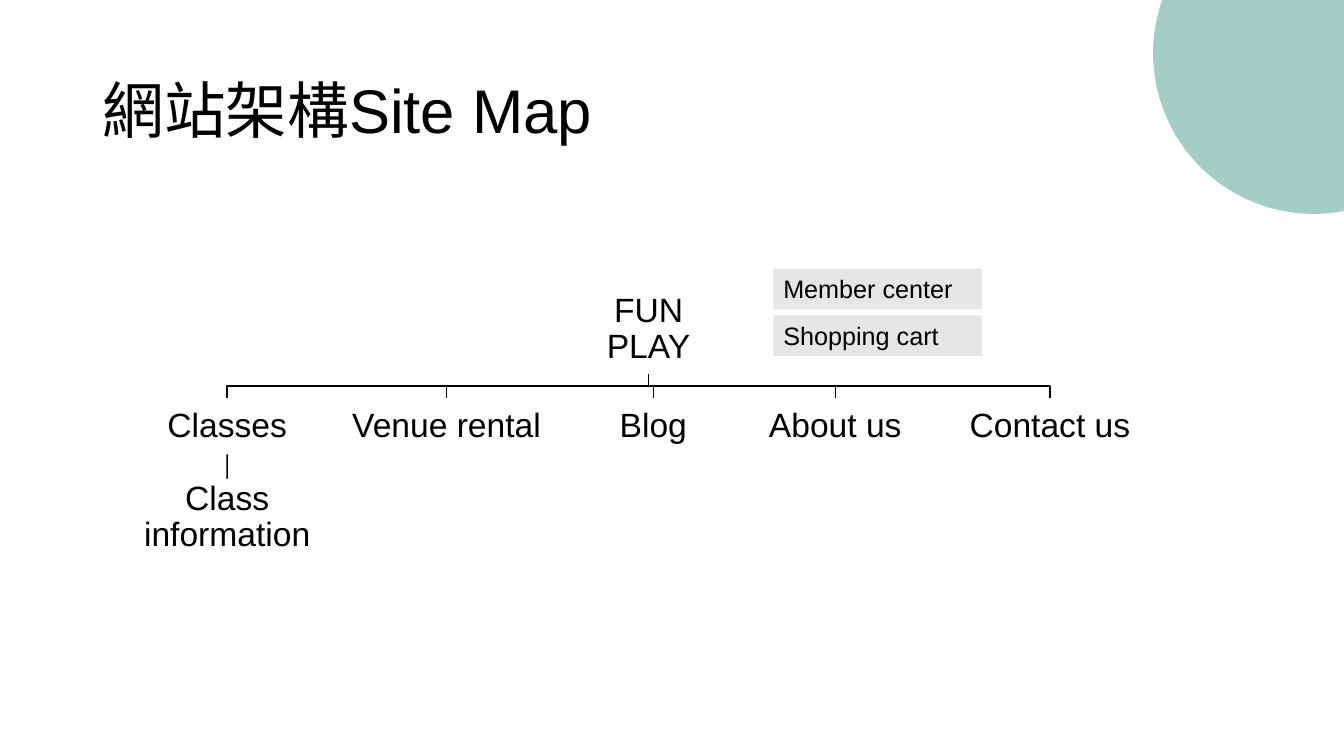
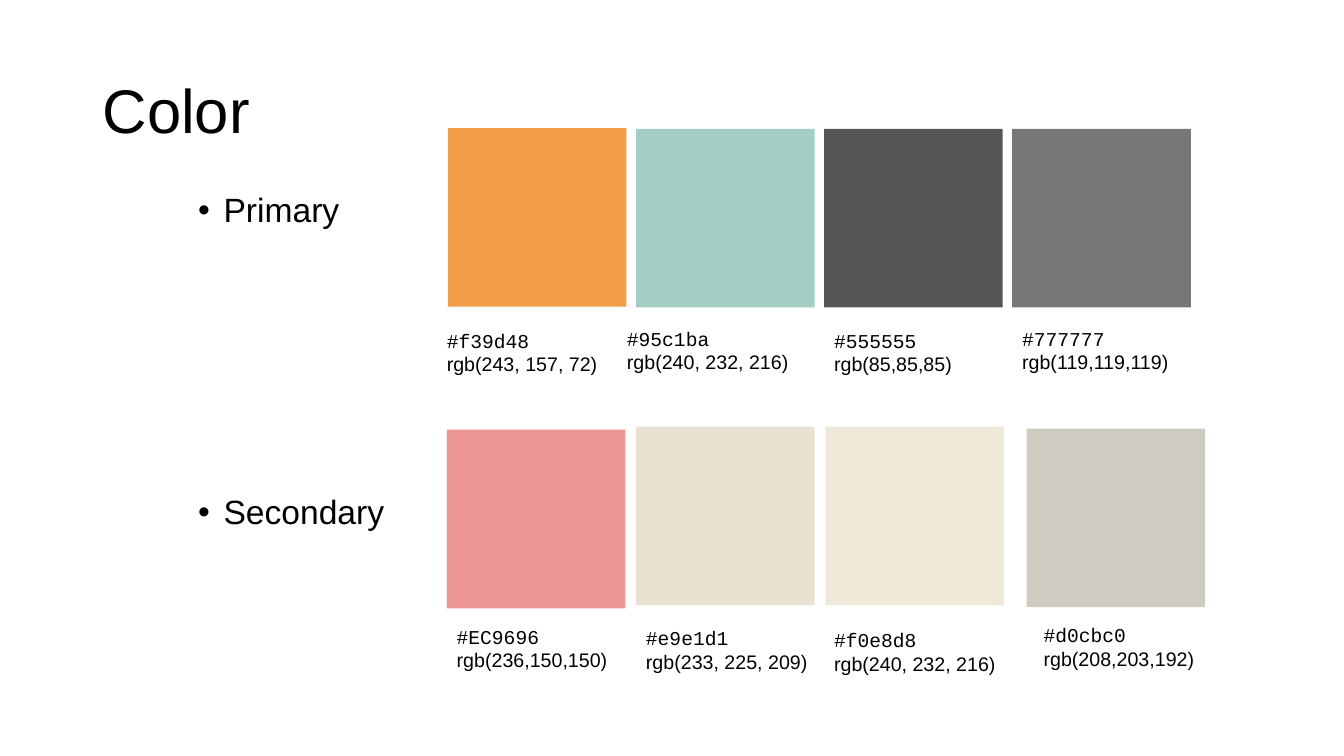
from dataclasses import dataclass

from lxml.etree import SubElement
from pptx import Presentation
from pptx.dml.color import RGBColor
from pptx.enum.shapes import MSO_CONNECTOR, MSO_SHAPE
from pptx.enum.text import MSO_ANCHOR, MSO_AUTO_SIZE, PP_ALIGN
from pptx.oxml.ns import qn
from pptx.util import Cm, Pt


@dataclass(frozen=True)
class Theme:
    text: str = "000000"
    paper: str = "FFFFFF"
    tag: str = "E7E6E6"
    accent: str = "A4CEC5"
    font: str = "Arial"
    code_font: str = "Courier New"
    title_size: int = 44
    body_size: int = 24
    tag_size: int = 18
    caption_size: int = 14
    line_spacing: float = 0.9


THEME = Theme()
TITLE_ONLY, TITLE_AND_CONTENT = 5, 1

# Site map content: (label, box width in cm)
SITE_TITLE = "網站架構Site Map"
SITE_ROOT = "FUN PLAY"
SITE_PAGES = [
    ("Classes", 4.17),
    ("Venue rental", 5.49),
    ("Blog", 3.53),
    ("About us", 4.24),
    ("Contact us", 5.18),
]
SITE_SUBPAGE = "Class information"
SITE_TAGS = ["Member center", "Shopping cart"]

# Palette content: fill, hex label, rgb label, swatch nudge, caption nudge (cm)
PALETTE_TITLE = "Color"
PALETTE = {
    "Primary": [
        ("F39D48", "#f39d48", "rgb(243, 157, 72)", (0, -0.02), (-0.28, 0.05)),
        (THEME.accent, "#95c1ba", "rgb(240, 232, 216)", (0, 0), (-0.48, 0)),
        ("555555", "#555555", "rgb(85,85,85)", (0, 0), (0, 0.05)),
        ("777777", "#777777", "rgb(119,119,119)", (0, 0), (0, 0)),
    ],
    "Secondary": [
        ("EC9696", "#EC9696", "rgb(236,150,150)", (-0.03, 0.08), (-0.03, 0)),
        ("E9E1D1", "#e9e1d1", "rgb(233, 225, 209)", (0, 0), (0, 0.04)),
        ("F0E8D8", "#f0e8d8", "rgb(240, 232, 216)", (0.03, 0), (0, 0.1)),
        ("D0CBC0", "#d0cbc0", "rgb(208,203,192)", (0.36, 0.05), (0.54, -0.03)),
    ],
}


def place(shape, left, top, width, height):
    shape.left, shape.top = Cm(left), Cm(top)
    shape.width, shape.height = Cm(width), Cm(height)


def style_font(paragraph, size, name=THEME.font):
    paragraph.font.size = Pt(size)
    paragraph.font.name = name
    paragraph.font.color.rgb = RGBColor.from_string(THEME.text)


def style_line(line):
    line.color.rgb = RGBColor.from_string(THEME.text)
    line.width = Pt(1)


def add_titled_slide(presentation, layout, title):
    slide = presentation.slides.add_slide(presentation.slide_layouts[layout])
    shape = slide.shapes.title
    place(shape, 2.33, 1.02, 29.21, 3.68)
    frame = shape.text_frame
    frame.text = title
    frame.auto_size = MSO_AUTO_SIZE.NONE
    frame.vertical_anchor = MSO_ANCHOR.MIDDLE
    paragraph = frame.paragraphs[0]
    paragraph.alignment = PP_ALIGN.LEFT
    paragraph.line_spacing = THEME.line_spacing
    style_font(paragraph, THEME.title_size)
    return slide


def add_filled(slide, kind, fill, left, top, width, height):
    shape = slide.shapes.add_shape(kind, Cm(left), Cm(top), Cm(width), Cm(height))
    shape.shadow.inherit = False
    shape.fill.solid()
    shape.fill.fore_color.rgb = RGBColor.from_string(fill)
    shape.line.fill.background()
    return shape


def add_node(slide, label, left, top, width, height):
    node = add_filled(slide, MSO_SHAPE.ROUNDED_RECTANGLE, THEME.paper, left, top, width, height)
    node.adjustments[0] = 0.1
    frame = node.text_frame
    frame.margin_left = frame.margin_right = Cm(0.27)
    frame.word_wrap = True
    frame.text = label
    paragraph = frame.paragraphs[0]
    paragraph.alignment = PP_ALIGN.CENTER
    paragraph.line_spacing = THEME.line_spacing
    style_font(paragraph, THEME.body_size)
    return node


def add_branch(slide, start, end):
    """Draw an open path that goes down, across and down again."""
    middle_y = (start[1] + end[1]) / 2
    corners = [(start[0], middle_y), (end[0], middle_y), end]
    builder = slide.shapes.build_freeform(Cm(start[0]), Cm(start[1]))
    builder.add_line_segments([(Cm(x), Cm(y)) for x, y in corners], close=False)
    branch = builder.convert_to_shape()
    branch.shadow.inherit = False
    branch.fill.background()
    style_line(branch.line)


def join_vertically(slide, upper, lower):
    link = slide.shapes.add_connector(MSO_CONNECTOR.STRAIGHT, 0, 0, 0, 0)
    link.begin_connect(upper, 2)
    link.end_connect(lower, 0)
    style_line(link.line)
    SubElement(link._element.spPr, qn("a:effectLst"))


def add_tag(slide, label, top):
    tag = add_filled(slide, MSO_SHAPE.RECTANGLE, THEME.tag, 19.49, top, 5.26, 1.02)
    tag.text_frame.text = label
    tag.text_frame.vertical_anchor = MSO_ANCHOR.TOP
    paragraph = tag.text_frame.paragraphs[0]
    paragraph.alignment = PP_ALIGN.LEFT
    style_font(paragraph, THEME.tag_size)


def build_site_map(presentation):
    slide = add_titled_slide(presentation, TITLE_ONLY, SITE_TITLE)
    row_left, row_top, row_height, gap = 3.64, 10.03, 1.42, 0.7
    root_top, root_width, root_height = 7.2, 3.07, 2.22
    subpage_top, subpage_width, subpage_height = 12.06, 6.1, 1.98

    pages, centers, left = [], [], row_left
    for label, width in SITE_PAGES:
        pages.append(add_node(slide, label, left, row_top, width, row_height))
        centers.append(left + width / 2)
        left += width + gap
    root_x = (row_left + left - gap) / 2
    add_node(slide, SITE_ROOT, root_x - root_width / 2, root_top, root_width, root_height)
    subpage = add_node(slide, SITE_SUBPAGE, centers[0] - subpage_width / 2,
                       subpage_top, subpage_width, subpage_height)

    for center in centers:
        add_branch(slide, (root_x, root_top + root_height), (center, row_top))
    join_vertically(slide, pages[0], subpage)

    for index, label in enumerate(SITE_TAGS):
        add_tag(slide, label, 6.77 + 1.18 * index)
    add_filled(slide, MSO_SHAPE.OVAL, THEME.accent, 29.06, -2.71, 8.1, 8.1)


def fill_group_list(body, labels):
    """List the palette groups, each bullet level with its row of swatches."""
    place(body, 3.48, 4.75, 7.6, 9.98)
    frame = body.text_frame
    frame.auto_size = MSO_AUTO_SIZE.NONE
    for index, label in enumerate(labels):
        paragraph = frame.paragraphs[0] if index == 0 else frame.add_paragraph()
        paragraph.text = label
        paragraph.line_spacing = THEME.line_spacing
        paragraph.space_before = Pt(190 if index else 0)
        properties = paragraph._p.get_or_add_pPr()
        properties.set("marL", str(Cm(1.9)))
        properties.set("indent", str(Cm(-0.64)))
        SubElement(properties, qn("a:buChar"), char="•")
        style_font(paragraph, THEME.body_size)


def add_caption(slide, hex_label, rgb_label, left, top):
    box = slide.shapes.add_textbox(Cm(left), Cm(top), Cm(6.53), Cm(1.45))
    frame = box.text_frame
    frame.word_wrap = True
    frame.text = hex_label
    style_font(frame.paragraphs[0], THEME.caption_size, THEME.code_font)
    paragraph = frame.add_paragraph()
    paragraph.text = rgb_label
    style_font(paragraph, THEME.caption_size)


def build_palette(presentation):
    slide = add_titled_slide(presentation, TITLE_AND_CONTENT, PALETTE_TITLE)
    fill_group_list(slide.placeholders[1], PALETTE)
    grid_left, grid_top, size = 11.29, 3.25, 4.5
    column_pitch, row_pitch, caption_drop = 4.74, 7.5, 4.86
    for row, swatches in enumerate(PALETTE.values()):
        top = grid_top + row * row_pitch
        for column, (fill, hex_label, rgb_label, nudge, caption_nudge) in enumerate(swatches):
            left = grid_left + column * column_pitch
            add_filled(slide, MSO_SHAPE.RECTANGLE, fill,
                       left + nudge[0], top + nudge[1], size, size)
            add_caption(slide, hex_label, rgb_label,
                        left + caption_nudge[0], top + caption_drop + caption_nudge[1])


def main():
    presentation = Presentation()
    presentation.slide_width, presentation.slide_height = Cm(33.87), Cm(19.05)
    build_site_map(presentation)
    build_palette(presentation)
    presentation.save("out.pptx")


if __name__ == "__main__":
    main()
